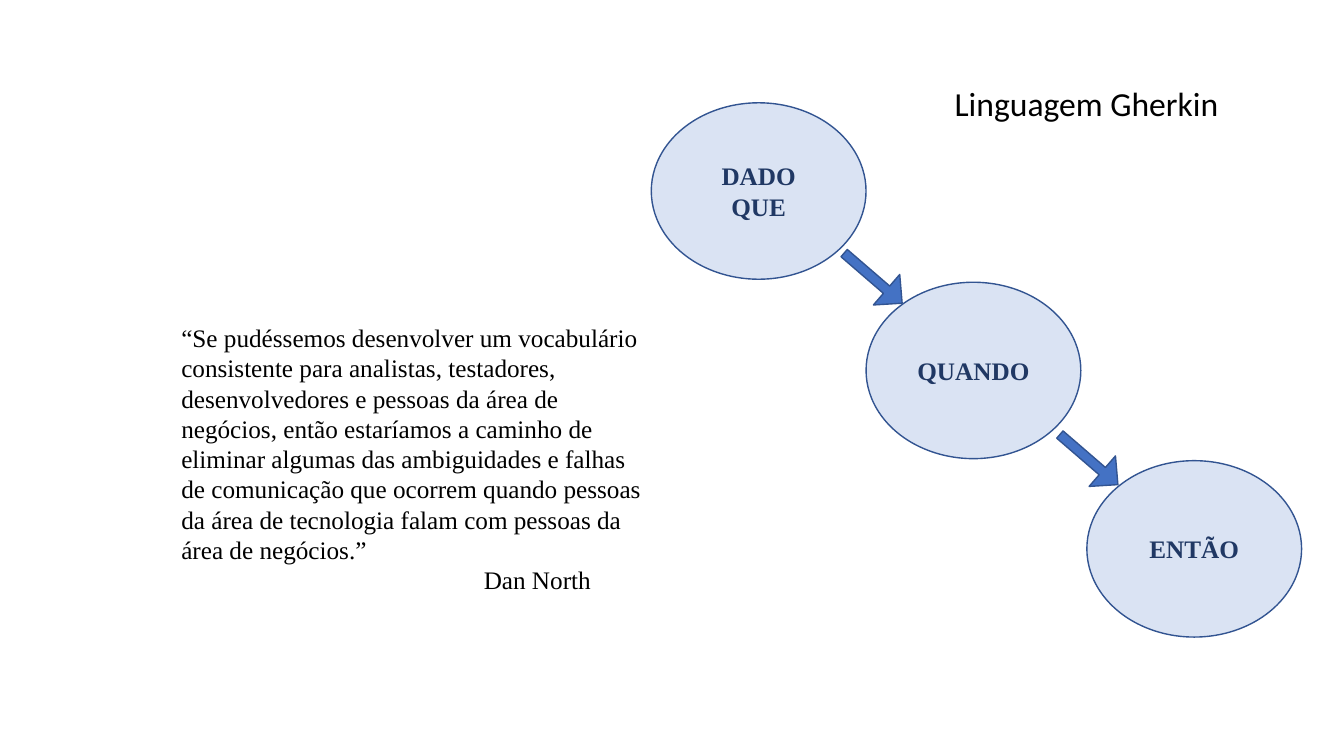
from dataclasses import dataclass
from pptx import Presentation
from pptx.dml.color import RGBColor
from pptx.enum.shapes import MSO_SHAPE
from pptx.enum.text import MSO_ANCHOR, MSO_AUTO_SIZE, PP_ALIGN
from pptx.util import Inches, Pt

OVAL = MSO_SHAPE.OVAL
ARROW = MSO_SHAPE.RIGHT_ARROW
MIDDLE = MSO_ANCHOR.MIDDLE
CENTER = PP_ALIGN.CENTER
GROW = MSO_AUTO_SIZE.SHAPE_TO_FIT_TEXT


@dataclass
class Theme:
    pale: str = "DAE3F3"
    blue: str = "4472C4"
    edge: str = "325491"
    navy: str = "203864"
    black: str = "000000"
    serif: str = "Times New Roman"
    sans: str = "Calibri"
    body: int = 18
    head: int = 24


theme = Theme()


def add_run(para, text, face, size, color, bold=False):
    run = para.add_run()
    run.text = text
    run.font.name = face
    run.font.size = Pt(size)
    run.font.bold = bold
    run.font.color.rgb = RGBColor.from_string(color)


def add_form(kind, left, top, width, height, fill):
    form = slide.shapes.add_shape(
        kind, Inches(left), Inches(top), Inches(width), Inches(height))
    form.shadow.inherit = False
    form.fill.solid()
    form.fill.fore_color.rgb = RGBColor.from_string(fill)
    form.line.color.rgb = RGBColor.from_string(theme.edge)
    form.line.width = Pt(1)
    return form


deck = Presentation()
deck.slide_width = Inches(13.33)
deck.slide_height = Inches(7.5)
slide = deck.slides.add_slide(deck.slide_layouts[6])

# Quote and its author
box = slide.shapes.add_textbox(Inches(1.7), Inches(3.15), Inches(4.8), Inches(2.83))
frame = box.text_frame
frame.word_wrap = True
frame.auto_size = GROW
quote = (
    "“Se pudéssemos desenvolver um vocabulário consistente para analistas, "
    "testadores, desenvolvedores e pessoas da área de negócios, então estaríamos "
    "a caminho de eliminar algumas das ambiguidades e falhas de comunicação que "
    "ocorrem quando pessoas da área de tecnologia falam com pessoas da área de "
    "negócios.”")
add_run(frame.paragraphs[0], quote, theme.serif, theme.body, theme.black)
author = frame.add_paragraph()
author._p.get_or_add_pPr().set("marL", str(Inches(3)))
add_run(author, "Dan North", theme.serif, theme.body, theme.black)

# Steps of a scenario
steps = [("DADO QUE", 6.46, 1.02), ("QUANDO", 8.59, 2.8), ("ENTÃO", 10.78, 4.57)]
for word, left, top in steps:
    step = add_form(OVAL, left, top, 2.13, 1.75, theme.pale)
    frame = step.text_frame
    frame.word_wrap = True
    frame.vertical_anchor = MIDDLE
    para = frame.paragraphs[0]
    para.alignment = CENTER
    add_run(para, word, theme.serif, theme.body, theme.navy, True)

# Arrows from step to step
for left, top in [(8.28, 2.56), (10.42, 4.36)]:
    arrow = add_form(ARROW, left, top, 0.76, 0.4, theme.blue)
    arrow.rotation = 40.8
    arrow.adjustments[0] = 0.24
    arrow.adjustments[1] = 0.51

# Title
box = slide.shapes.add_textbox(Inches(9.37), Inches(0.77), Inches(2.84), Inches(0.5))
frame = box.text_frame
frame.word_wrap = False
frame.auto_size = GROW
add_run(frame.paragraphs[0], "Linguagem Gherkin", theme.sans, theme.head, theme.black)

deck.save("out.pptx")
